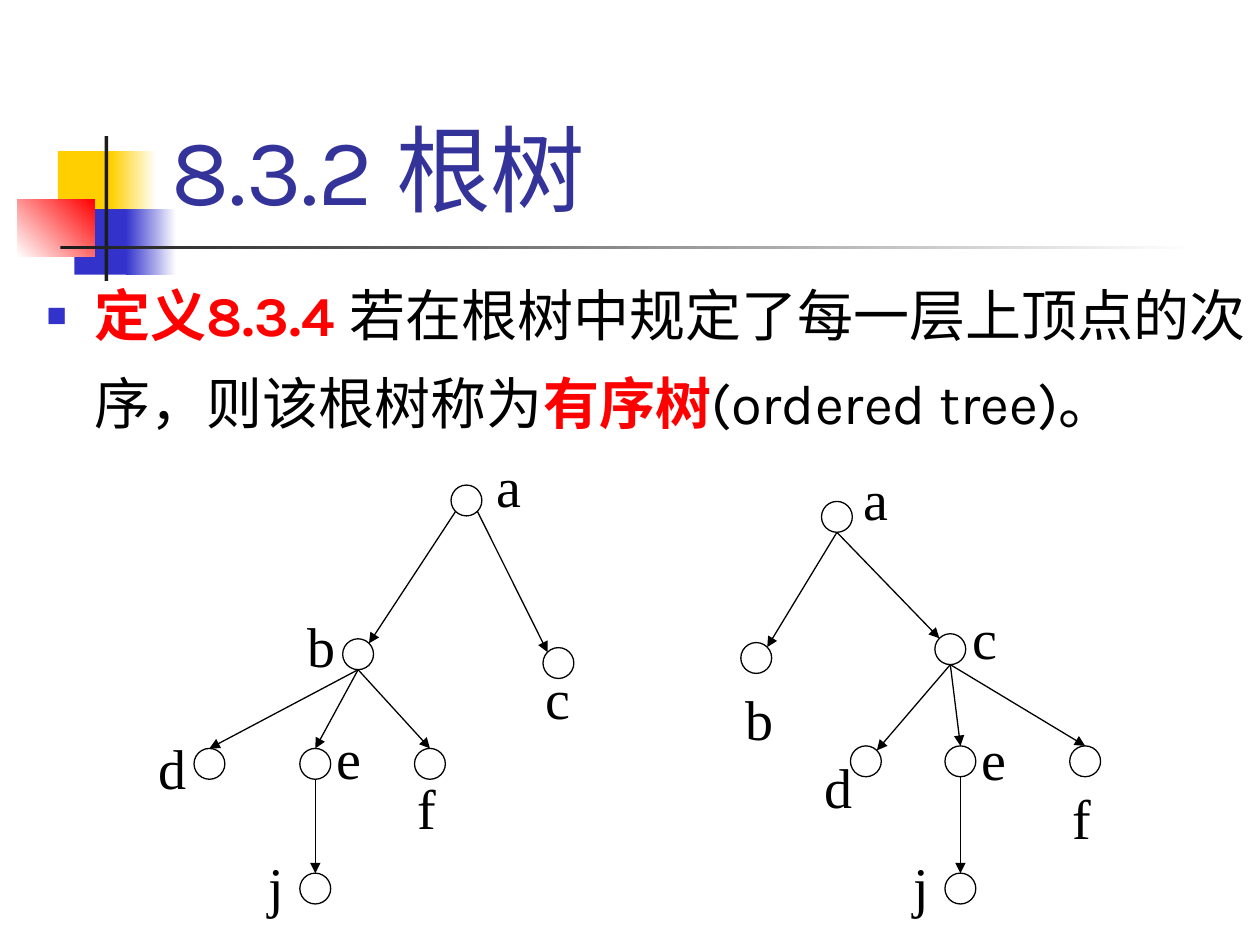
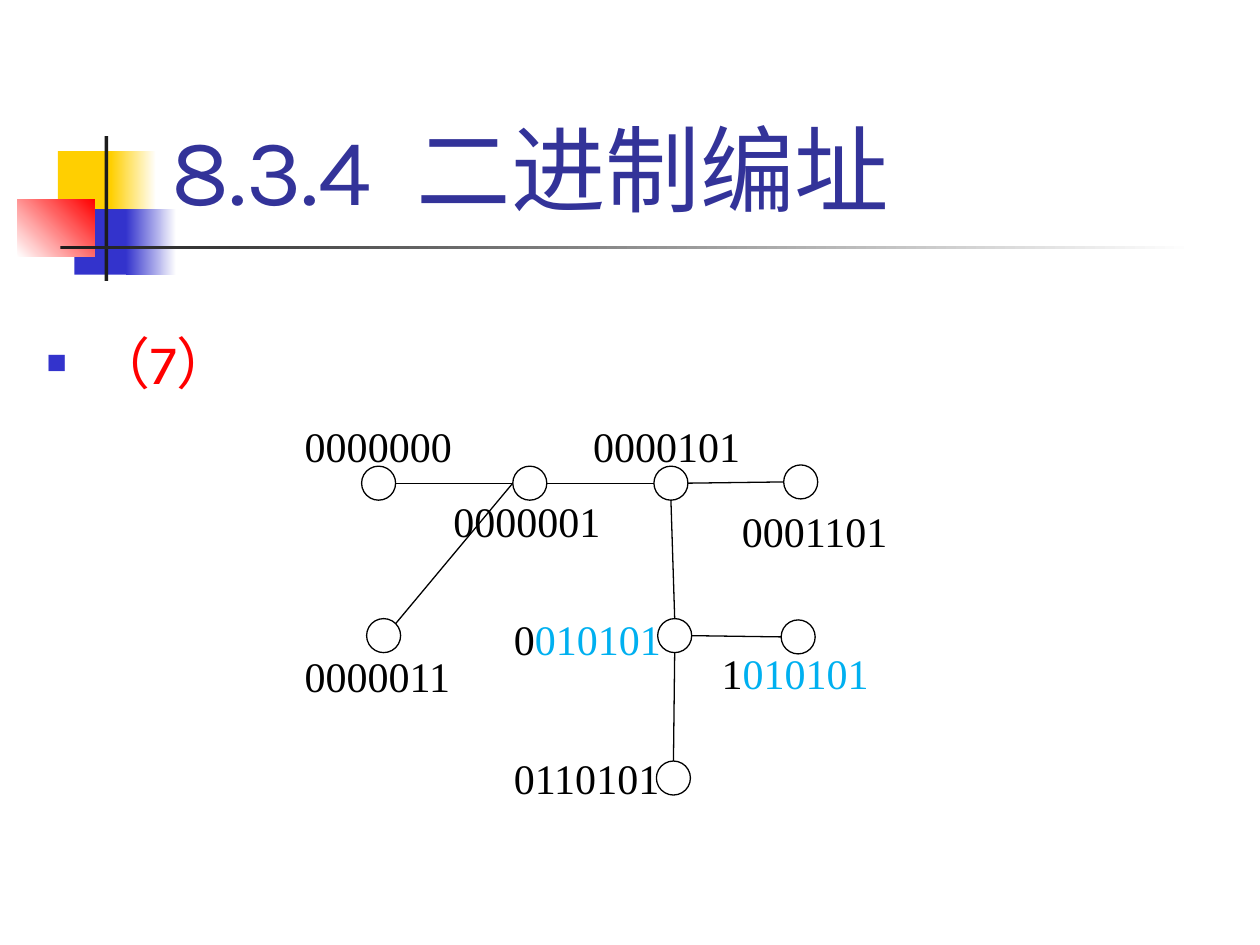
"""Build two slides on rooted trees and binary addressing."""
import dataclasses
import math

import lxml.etree
import pptx
import pptx.dml.color
import pptx.enum.shapes
import pptx.enum.text
import pptx.oxml.ns
import pptx.util

Inches = pptx.util.Inches
Pt = pptx.util.Pt
qn = pptx.oxml.ns.qn
Shape = pptx.enum.shapes.MSO_SHAPE


@dataclasses.dataclass(frozen=True)
class Theme:
    heading_font: str = "Karla"
    label_font: str = "Times New Roman"
    title_size: int = 54
    body_size: int = 32
    title: str = "333399"
    ink: str = "000000"
    paper: str = "FFFFFF"
    red: str = "FF0000"
    gold: str = "FFCF01"
    blue: str = "3333CC"
    dark: str = "1C1C1C"
    sky: str = "00B0F0"
    outline: float = 0.75


THEME = Theme()
SLIDE_SIZE = (10, 7.5)
TITLE_BOX = (1.26, 0.23, 8.52, 1.6)
BODY_BOX = (0.27, 2.02, 9.73, 5.48)
BULLET_INDENT = 0.38

# box, colours (one is solid, two are a gradient), gradient angle
MOTIF = [
    ((0.46, 1.2, 0.48, 0.52), (THEME.gold,), 0),
    ((0.88, 1.2, 0.36, 0.52), (THEME.gold, THEME.paper), 0),
    ((0.59, 1.66, 0.46, 0.52), (THEME.blue,), 0),
    ((1, 1.66, 0.4, 0.52), (THEME.blue, THEME.paper), 0),
    ((0.14, 1.58, 0.61, 0.46), (THEME.paper, THEME.red), 45),
    ((0.83, 1.08, 0.03, 1.15), (THEME.dark,), 0),
    ((0.48, 1.95, 9, 0.03), (THEME.dark, THEME.paper), 0),
]

TREE_STYLE = {"node": 0.245, "label": (0.71, 0.7), "inset": (0.12, 0.06),
              "size": 32, "arrow": True, "suffix": ""}
CODE_STYLE = {"node": 0.27, "label": (1.4, 0.76), "inset": (0.1, 0.05),
              "size": 24, "arrow": False, "suffix": "010101"}

# nodes: circle left, top; label left, top; label width where it differs
# edges: start, side, end, side
LEFT_TREE = {
    "style": TREE_STYLE,
    "nodes": {
        "a": (3.58, 3.85, 3.82, 3.52),
        "b": (2.72, 5.07, 2.32, 4.79),
        "c": (4.31, 5.14, 4.21, 5.21),
        "d": (1.54, 5.94, 1.14, 5.76),
        "e": (2.38, 5.94, 2.55, 5.68),
        "f": (3.29, 5.94, 3.19, 6.08),
        "j": (2.38, 6.93, 2.01, 6.7),
    },
    "edges": [
        ("a", "bottom left", "b", "top right"),
        ("a", "bottom right", "c", "top left"),
        ("b", "bottom", "d", "top"),
        ("b", "bottom", "e", "top"),
        ("b", "bottom", "f", "top"),
        ("e", "bottom", "j", "top"),
    ],
}
RIGHT_TREE = {
    "style": TREE_STYLE,
    "nodes": {
        "a": (6.52, 3.98, 6.73, 3.63),
        "b": (5.88, 5.1, 5.8, 5.37),
        "c": (7.42, 5.03, 7.6, 4.73),
        "d": (6.75, 5.92, 6.42, 5.91),
        "e": (7.5, 5.92, 7.67, 5.69),
        "f": (8.49, 5.92, 8.39, 6.16),
        "j": (7.5, 6.93, 7.13, 6.7),
    },
    "edges": [
        ("a", "bottom", "b", "top right"),
        ("a", "bottom", "c", "top left"),
        ("c", "bottom", "d", "top right"),
        ("c", "bottom", "e", "top"),
        ("c", "bottom", "f", "top"),
        ("e", "bottom", "j", "top"),
    ],
}
CODE_GRAPH = {
    "style": CODE_STYLE,
    "nodes": {
        "1010101": (6.2, 4.92, 5.63, 5.09),
        "0110101": (5.21, 6.04, 3.98, 5.92),
        "0010101": (5.22, 4.91, 3.98, 4.82),
        "0001101": (6.22, 3.69, 5.79, 3.96, 1.37),
        "0000101": (5.19, 3.7, 4.61, 3.29, 1.47),
        "0000011": (2.91, 4.91, 2.32, 5.11, 1.43),
        "0000000": (2.87, 3.7, 2.32, 3.29, 1.52),
        "0000001": (4.07, 3.7, 3.5, 3.88, 1.49),
    },
    "edges": [
        ("0000000", "right", "0000001", "left"),
        ("0000001", "right", "0000101", "left"),
        ("0000101", "right", "0001101", "left"),
        ("0000001", "left", "0000011", "top right"),
        ("0000101", "bottom", "0010101", "top"),
        ("0010101", "bottom", "0110101", "top"),
        ("0010101", "right", "1010101", "left"),
    ],
}

# body spans: text, colour, bold
SLIDES = [
    {
        "title": "8.3.2 根树",
        "body": [
            ("定义8.3.4 ", THEME.red, True),
            ("若在根树中规定了每一层上顶点的次序，则该根树称为", THEME.ink, False),
            ("有序树", THEME.red, True),
            ("(ordered tree)。", THEME.ink, False),
        ],
        "line_spacing": 1.3,
        "diagrams": [LEFT_TREE, RIGHT_TREE],
    },
    {
        "title": "8.3.4  二进制编址",
        "body": [("（7）", THEME.red, False)],
        "line_spacing": 2.0,
        "diagrams": [CODE_GRAPH],
    },
]


def rgb(colour):
    return pptx.dml.color.RGBColor.from_string(colour)


def place(shape, box):
    shape.left, shape.top, shape.width, shape.height = map(Inches, box)


def add_span(para, text, font, size, colour, bold=False):
    span = para.add_run()
    span.text = text
    span.font.name, span.font.size, span.font.bold = font, Pt(size), bold
    span.font.color.rgb = rgb(colour)


def add_solid(shapes, kind, box, fill, line=None):
    shape = shapes.add_shape(kind, *map(Inches, box))
    shape.shadow.inherit = False
    shape.fill.solid()
    shape.fill.fore_color.rgb = rgb(fill)
    if line:
        shape.line.color.rgb = rgb(line)
        shape.line.width = Pt(THEME.outline)
    else:
        shape.line.fill.background()
    return shape


def add_motif(layout, page):
    """Draw the corner motif and move it behind the layout's placeholders."""
    for index, (box, colours, angle) in enumerate(MOTIF):
        shape = add_solid(page.shapes, Shape.RECTANGLE, box, colours[0])
        if len(colours) == 2:
            shape.fill.gradient()
            shape.fill.gradient_angle = angle
            for stop, colour in zip(shape.fill.gradient_stops, colours):
                stop.color.rgb = rgb(colour)
        shape.element.nvSpPr.cNvPr.set("id", str(100 + index))
        layout.shapes.element.insert(2 + index, shape.element)


def add_bullet(para):
    props = para._p.get_or_add_pPr()
    props.set("marL", str(Inches(BULLET_INDENT)))
    props.set("indent", str(-Inches(BULLET_INDENT)))
    colour = lxml.etree.SubElement(props, qn("a:buClr"))
    lxml.etree.SubElement(colour, qn("a:srgbClr"), val=THEME.blue)
    lxml.etree.SubElement(props, qn("a:buSzPct"), val="60000")
    lxml.etree.SubElement(props, qn("a:buChar"), char="■")


def fill_text(page, content):
    frame = page.shapes.title.text_frame
    frame.auto_size = pptx.enum.text.MSO_AUTO_SIZE.NONE
    frame.vertical_anchor = pptx.enum.text.MSO_ANCHOR.BOTTOM
    para = frame.paragraphs[0]
    para.alignment = pptx.enum.text.PP_ALIGN.LEFT
    add_span(para, content["title"], THEME.heading_font, THEME.title_size, THEME.title)

    frame = page.placeholders[1].text_frame
    frame.auto_size = pptx.enum.text.MSO_AUTO_SIZE.NONE
    para = frame.paragraphs[0]
    para.line_spacing = content["line_spacing"]
    para.space_before = Pt(0)
    add_bullet(para)
    for text, colour, bold in content["body"]:
        add_span(para, text, THEME.heading_font, THEME.body_size, colour, bold)


def add_label(shapes, text, left, top, width, style):
    box = (left, top, width, style["label"][1])
    label = add_solid(shapes, Shape.RECTANGLE, box, THEME.paper, THEME.paper)
    frame = label.text_frame
    frame.word_wrap = True
    frame.vertical_anchor = pptx.enum.text.MSO_ANCHOR.TOP
    frame.margin_left = frame.margin_right = Inches(style["inset"][0])
    frame.margin_top = frame.margin_bottom = Inches(style["inset"][1])
    para = frame.paragraphs[0]
    para.alignment = pptx.enum.text.PP_ALIGN.LEFT
    suffix = style["suffix"] if text.endswith(style["suffix"]) else ""
    for part, colour in ((text.removesuffix(suffix), THEME.ink), (suffix, THEME.sky)):
        if part:
            add_span(para, part, THEME.label_font, style["size"], colour)


def rim_point(node, side, size):
    """Return the point on a circle's rim at a named side."""
    across = ("right" in side) - ("left" in side)
    down = ("bottom" in side) - ("top" in side)
    reach = size / 2 / math.hypot(across, down)
    return node[0] + size / 2 + across * reach, node[1] + size / 2 + down * reach


def add_edge(shapes, start, end, arrow):
    edge = shapes.add_connector(
        pptx.enum.shapes.MSO_CONNECTOR.STRAIGHT, *map(Inches, start + end))
    edge.line.color.rgb = rgb(THEME.ink)
    edge.line.width = Pt(THEME.outline)
    props = edge.element.spPr
    if arrow:
        lxml.etree.SubElement(props.find(qn("a:ln")), qn("a:tailEnd"), type="triangle")
    lxml.etree.SubElement(props, qn("a:effectLst"))


def add_diagram(page, diagram):
    shapes = page.shapes.add_group_shape().shapes
    style, nodes = diagram["style"], diagram["nodes"]
    size = style["node"]
    for text, (_, _, left, top, *width) in nodes.items():
        add_label(shapes, text, left, top, width[0] if width else style["label"][0], style)
    for left, top, *_ in nodes.values():
        add_solid(shapes, Shape.OVAL, (left, top, size, size), THEME.paper, THEME.ink)
    for start, start_side, end, end_side in diagram["edges"]:
        add_edge(shapes, rim_point(nodes[start], start_side, size),
                 rim_point(nodes[end], end_side, size), style["arrow"])


def main():
    deck = pptx.Presentation()
    deck.slide_width, deck.slide_height = map(Inches, SLIDE_SIZE)
    layout = deck.slide_layouts[1]
    place(layout.placeholders[0], TITLE_BOX)
    place(layout.placeholders[1], BODY_BOX)
    pages = [deck.slides.add_slide(layout) for _ in SLIDES]
    add_motif(layout, pages[0])
    for page, content in zip(pages, SLIDES):
        fill_text(page, content)
        for diagram in content["diagrams"]:
            add_diagram(page, diagram)
    deck.save("out.pptx")


if __name__ == "__main__":
    main()
